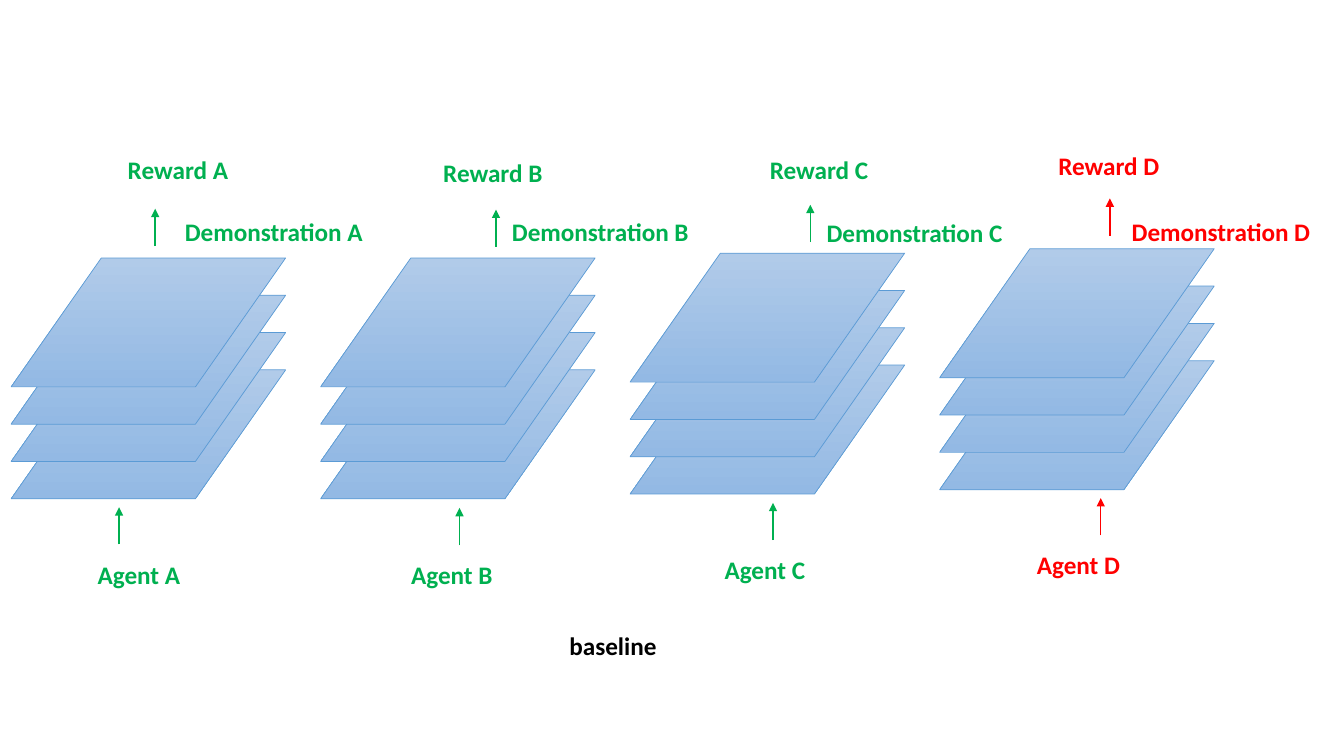
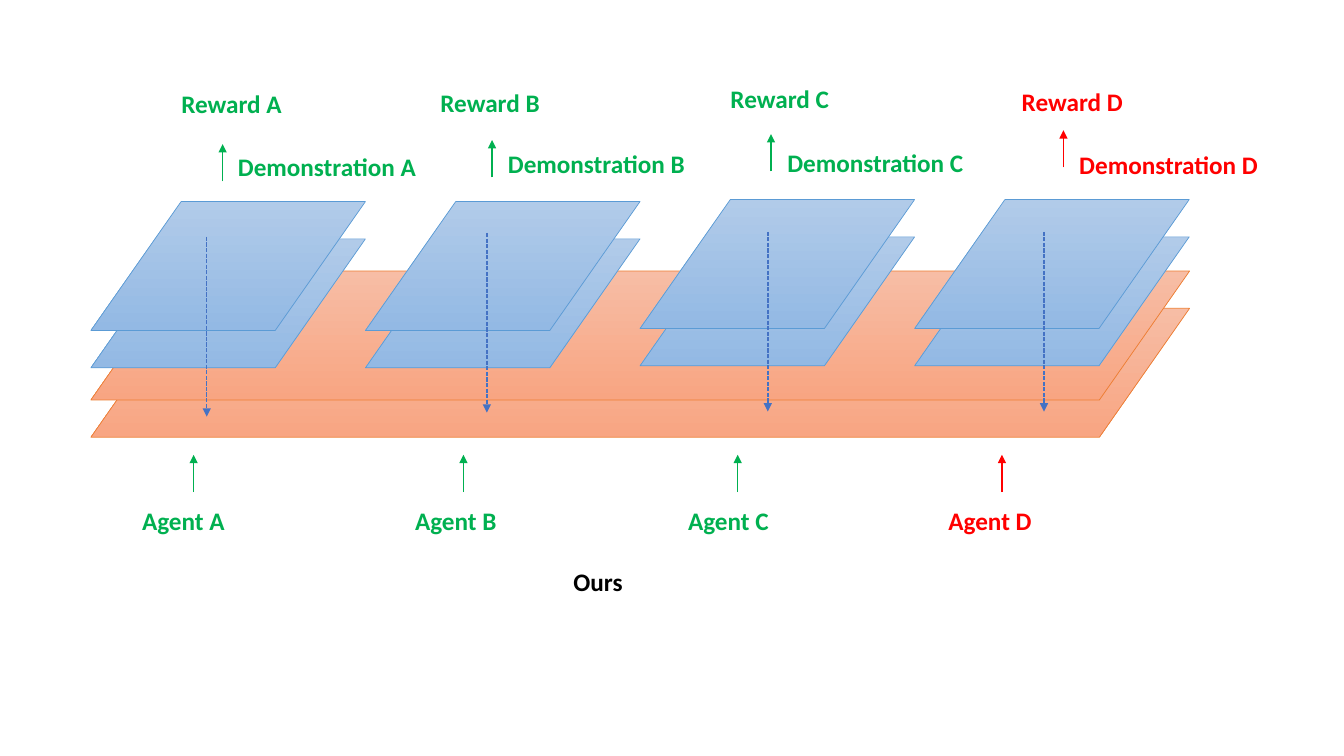
"""Build two slides comparing separate agent networks with a shared one."""
from lxml.etree import SubElement
from pptx import Presentation
from pptx.dml.color import RGBColor
from pptx.enum.dml import MSO_LINE
from pptx.enum.shapes import MSO_CONNECTOR, MSO_SHAPE
from pptx.enum.text import MSO_AUTO_SIZE as AutoSize, PP_ALIGN as Align
from pptx.oxml.ns import qn
from pptx.util import Cm, Pt

GREEN = RGBColor(0x00, 0xB0, 0x50)
RED = RGBColor(0xFF, 0x00, 0x00)
BLACK = RGBColor(0x00, 0x00, 0x00)
DASH_BLUE = RGBColor(0x44, 0x72, 0xC4)
OWN_LAYER = (RGBColor(0xB1, 0xCB, 0xE9), RGBColor(0x93, 0xB9, 0xE4), RGBColor(0x5B, 0x9B, 0xD5))
SHARED_LAYER = (RGBColor(0xF7, 0xBD, 0xA5), RGBColor(0xF8, 0xA5, 0x82), RGBColor(0xED, 0x7D, 0x31))

FONT = "Calibri"
LAYER_WIDTH, LAYER_HEIGHT, LAYER_STEP = 6.92, 3.25, 0.94
SHARED_WIDTH, SHARED_TOP = 27.69, 6.83
ARROW_LENGTH, DASH_LENGTH = 0.94, 4.53
LABEL_HEIGHT = 1.02
AGENT_WIDTH, REWARD_WIDTH, DEMO_WIDTH = 2.84, 3.14, 5.26
AGENTS = [("A", GREEN), ("B", GREEN), ("C", GREEN), ("D", RED)]

DIAGRAMS = [
    {
        "caption": ("baseline", 14.1, 15.75, 3.66),
        "left": 0.28, "pitch": 7.8, "layers": 4, "shared": 0,
        "tops": [6.5, 6.5, 6.38, 6.27],
        "agent": [(2.21, 13.97), (10.11, 13.97), (18.01, 13.84), (25.88, 13.72)],
        "input": [(3, 12.78), (11.58, 12.8), (19.48, 12.67), (27.74, 12.55)],
        "output": [(3.91, 5.26), (12.5, 5.28), (20.42, 5.16), (27.97, 5)],
        "reward": [(2.97, 3.76), (10.92, 3.84), (19.15, 3.76), (26.42, 3.66)],
        "demo": [(4.27, 5.33), (12.5, 5.33), (20.42, 5.36), (28.14, 5.33)],
        "dashes": [],
    },
    {
        "caption": ("Ours", 14.2, 14.15, 2.54),
        "left": 2.29, "pitch": LAYER_WIDTH, "layers": 2, "shared": 2,
        "tops": [5.08, 5.08, 5.03, 5.03],
        "agent": [(3.33, 12.62), (10.21, 12.62), (17.09, 12.62), (23.65, 12.62)],
        "input": [(4.88, 11.46), (11.68, 11.46), (18.59, 11.46), (25.25, 11.46)],
        "output": [(5.61, 3.63), (12.4, 3.53), (19.43, 3.38), (26.8, 3.28)],
        "reward": [(4.32, 2.11), (10.85, 2.08), (18.16, 1.98), (25.5, 2.06)],
        "demo": [(5.61, 3.68), (12.4, 3.61), (19.43, 3.58), (26.82, 3.63)],
        "dashes": [(5.21, 5.97), (12.27, 5.87), (19.35, 5.84), (26.31, 5.84)],
    },
]


def add_label(slide, text, left, top, width, color, align=Align.LEFT):
    label = slide.shapes.add_textbox(Cm(left), Cm(top), Cm(width), Cm(LABEL_HEIGHT))
    frame = label.text_frame
    frame.word_wrap = True
    frame.auto_size = AutoSize.SHAPE_TO_FIT_TEXT
    frame.text = text
    paragraph = frame.paragraphs[0]
    paragraph.alignment = align
    font = paragraph.runs[0].font
    font.name, font.size, font.bold = FONT, Pt(18), True
    font.color.rgb = color


def add_arrow(slide, x, start, tip, color, dash=None):
    arrow = slide.shapes.add_connector(MSO_CONNECTOR.STRAIGHT, Cm(x), Cm(start), Cm(x), Cm(tip))
    arrow.line.color.rgb = color
    arrow.line.width = Pt(1)
    if dash:
        arrow.line.dash_style = dash
    properties = arrow._element.spPr
    SubElement(properties.find(qn("a:ln")), qn("a:tailEnd"), type="triangle")
    SubElement(properties, qn("a:effectLst"))


deck = Presentation()
deck.slide_width, deck.slide_height = Cm(33.87), Cm(19.05)

for diagram in DIAGRAMS:
    slide = deck.slides.add_slide(deck.slide_layouts[6])

    layers = [
        (diagram["left"], SHARED_TOP + level * LAYER_STEP, SHARED_WIDTH, SHARED_LAYER)
        for level in reversed(range(diagram["shared"]))
    ]
    layers += [
        (diagram["left"] + column * diagram["pitch"], top + level * LAYER_STEP, LAYER_WIDTH, OWN_LAYER)
        for column, top in enumerate(diagram["tops"])
        for level in reversed(range(diagram["layers"]))
    ]
    for left, top, width, (light, dark, outline) in layers:
        layer = slide.shapes.add_shape(
            MSO_SHAPE.PARALLELOGRAM, Cm(left), Cm(top), Cm(width), Cm(LAYER_HEIGHT))
        layer.adjustments[0] = 0.7
        layer.shadow.inherit = False
        layer.fill.gradient()
        layer.fill.gradient_angle = 270
        for stop, color in zip(layer.fill.gradient_stops, (light, dark)):
            stop.color.rgb = color
        layer.line.color.rgb = outline
        layer.line.width = Pt(0.5)

    for column, (name, color) in enumerate(AGENTS):
        add_label(slide, f"Agent {name}", *diagram["agent"][column], AGENT_WIDTH, color)
        add_label(slide, f"Reward {name}", *diagram["reward"][column], REWARD_WIDTH, color)
        add_label(slide, f"Demonstration {name}", *diagram["demo"][column], DEMO_WIDTH, color, Align.CENTER)
        for flow in ("input", "output"):
            x, tip = diagram[flow][column]
            add_arrow(slide, x, tip + ARROW_LENGTH, tip, color)

    for x, start in diagram["dashes"]:
        add_arrow(slide, x, start, start + DASH_LENGTH, DASH_BLUE, MSO_LINE.SQUARE_DOT)

    add_label(slide, *diagram["caption"], BLACK)

deck.save("out.pptx")
